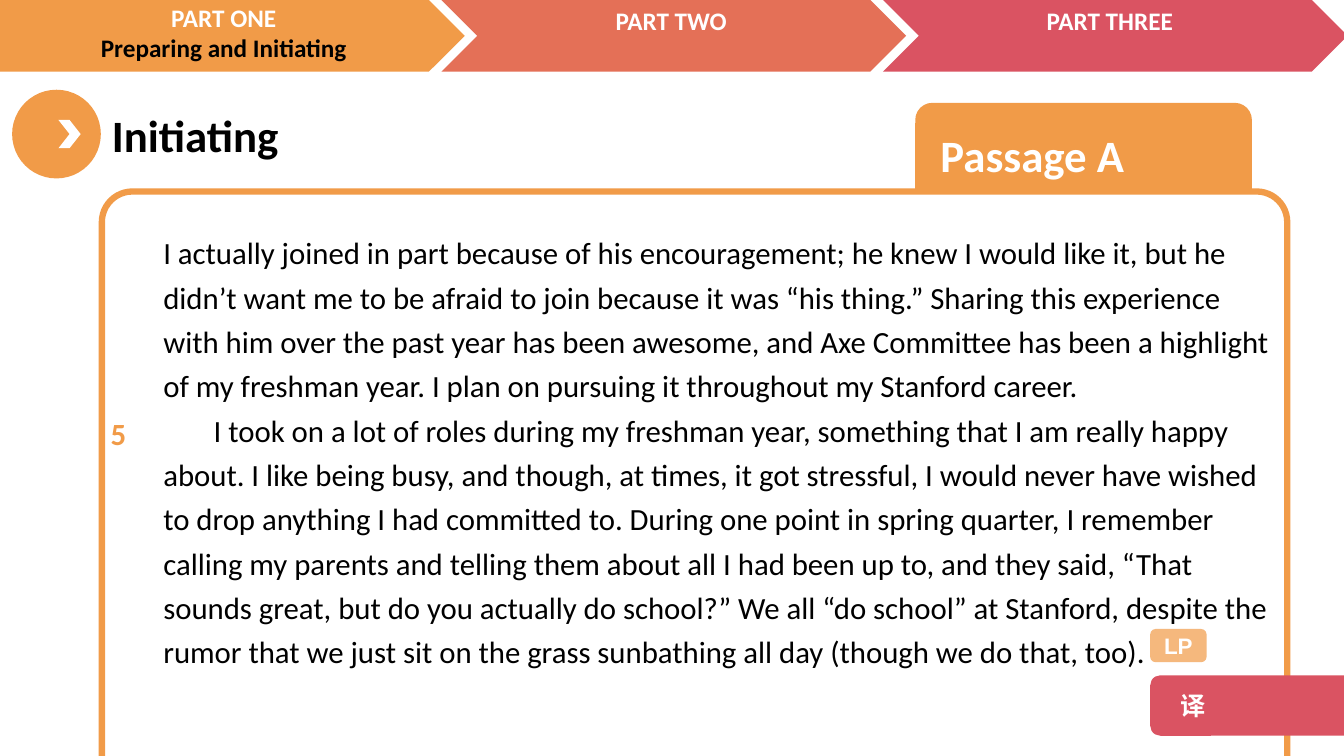
from lxml.etree import SubElement
from pptx import Presentation
from pptx.dml.color import RGBColor
from pptx.enum.shapes import MSO_SHAPE
from pptx.enum.text import MSO_ANCHOR, MSO_AUTO_SIZE, PP_ALIGN
from pptx.oxml.ns import qn
from pptx.util import Inches, Pt

ORANGE = RGBColor(0xF1, 0x9B, 0x48)
CORAL = RGBColor(0xE4, 0x70, 0x57)
CRIMSON = RGBColor(0xDA, 0x53, 0x62)
WHITE = RGBColor(0xFF, 0xFF, 0xFF)
BLACK = RGBColor(0, 0, 0)

# Widths and heights of elements are percentages of the slide's size.
PART_PITCH, PART_WIDTH, PART_HEIGHT = 32.85, 34.58, 9.47
FIRST_PART_LEAD = 4.58
PARTS = [
    (ORANGE, (-0.45, -0.4), [("PART ONE", WHITE), ("Preparing and Initiating", BLACK)]),
    (CORAL, (32.85, 0), [("PART TWO", WHITE)]),
    (CRIMSON, (65.48, 0), [("PART THREE", WHITE)]),
]
PASSAGE = [
    "I actually joined in part because of his encouragement; he knew I would like it, "
    "but he didn’t want me to be afraid to join because it was “his thing.” Sharing this "
    "experience with him over the past year has been awesome, and Axe Committee has been "
    "a highlight of my freshman year. I plan on pursuing it throughout my Stanford career.",
    "I took on a lot of roles during my freshman year, something that I am really happy "
    "about. I like being busy, and though, at times, it got stressful, I would never have "
    "wished to drop anything I had committed to. During one point in spring quarter, I "
    "remember calling my parents and telling them about all I had been up to, and they "
    "said, “That sounds great, but do you actually do school?” We all “do school” at "
    "Stanford, despite the rumor that we just sit on the grass sunbathing all day (though "
    "we do that, too).",
]


class PassageSlide:
    def __init__(self, deck):
        self.deck = deck
        self.slide = deck.slides.add_slide(deck.slide_layouts[1])

    def box(self, left, top, width, height):
        """Turn percentages of the slide into lengths."""
        across, down = self.deck.slide_width / 100, self.deck.slide_height / 100
        return [round(n) for n in (left * across, top * down, width * across, height * down)]

    def set_text(self, shape, lines, size, font="Calibri", bold=True, align=PP_ALIGN.LEFT,
                 anchor=MSO_ANCHOR.TOP, inset=0.1, top_inset=0.05, spacing=1.0, indents=()):
        """Fill a shape with (text, colour) paragraphs; indents are first-line inches."""
        frame = shape.text_frame
        frame.word_wrap = True
        frame.auto_size = MSO_AUTO_SIZE.NONE
        frame.vertical_anchor = anchor
        frame.margin_left, frame.margin_right = Inches(inset), Inches(min(inset, 0.1))
        frame.margin_top = frame.margin_bottom = Inches(top_inset)
        frame.text = "\n".join(text for text, _ in lines)
        for number, (paragraph, (_, color)) in enumerate(zip(frame.paragraphs, lines)):
            paragraph.alignment = align
            paragraph.line_spacing = spacing
            paragraph.space_before = Pt(0)
            if indents:
                properties = paragraph._p.get_or_add_pPr()
                properties.set("marL", "0")
                properties.set("indent", str(Inches(indents[number])))
                SubElement(properties, qn("a:buNone"))
            paragraph.font.size = Pt(size)
            paragraph.font.bold = bold
            paragraph.font.name = font
            paragraph.font.color.rgb = color

    def shape(self, kind, place, fill, outline=None, alpha=None):
        shape = self.slide.shapes.add_shape(kind, *self.box(*place))
        shape.shadow.inherit = False
        shape.fill.solid()
        shape.fill.fore_color.rgb = fill
        if alpha is not None:
            color = shape._element.spPr.find(qn("a:solidFill")).find(qn("a:srgbClr"))
            SubElement(color, qn("a:alpha"), val=str(alpha * 1000))
        if outline is None:
            shape.line.fill.background()
        else:
            shape.line.color.rgb = outline
            shape.line.width = Pt(4.5)
        return shape

    def text(self, place, lines, size, **style):
        self.set_text(self.slide.shapes.add_textbox(*self.box(*place)), lines, size, **style)

    def placeholder(self, index, place, lines, size, **style):
        """Fill a template placeholder and bring it to the front."""
        holder = self.slide.placeholders[index]
        holder.left, holder.top, holder.width, holder.height = self.box(*place)
        self.set_text(holder, lines, size, **style)
        self.slide.shapes._spTree.append(holder._element)


def main():
    deck = Presentation()
    deck.slide_width, deck.slide_height = Inches(13.33), Inches(7.5)
    page = PassageSlide(deck)

    for number, (color, (left, top), label) in enumerate(PARTS):
        lead = 0 if number else FIRST_PART_LEAD
        page.shape(MSO_SHAPE.CHEVRON, (number * PART_PITCH - lead, 0,
                                       PART_WIDTH + lead, PART_HEIGHT), color)
        page.text((left, top, 34.2, PART_HEIGHT), label, 18, align=PP_ALIGN.CENTER)

    page.shape(MSO_SHAPE.OVAL, (0.9, 11.87, 6.6, 11.73), ORANGE)
    page.shape(MSO_SHAPE.CHEVRON, (4.35, 15.87, 1.65, 3.73), WHITE)
    page.placeholder(0, (7.58, 13.6, 36.38, 8.53), [("Initiating", BLACK)], 32)

    passage_tab = page.shape(MSO_SHAPE.ROUNDED_RECTANGLE, (68.1, 13.6, 25.05, 13.6), ORANGE)
    page.set_text(passage_tab, [("Passage A", WHITE)], 32, anchor=MSO_ANCHOR.MIDDLE, inset=0.2)
    passage_frame = page.shape(MSO_SHAPE.ROUNDED_RECTANGLE, (7.58, 25.33, 88.2, 86),
                               WHITE, outline=ORANGE)
    passage_frame.adjustments[0] = 0.047

    page.placeholder(1, (11.4, 30, 84.38, 70), [(text, BLACK) for text in PASSAGE], 22,
                     bold=False, top_inset=0, spacing=1.2, indents=(0, 0.5))
    page.text((7.5, 53.87, 3.83, 6), [("5", ORANGE)], 22, top_inset=0, spacing=1.2)

    translation = page.shape(MSO_SHAPE.ROUNDED_RECTANGLE, (85.58, 89.33, 15.98, 8), CRIMSON)
    page.set_text(translation, [("译", WHITE)], 18, font="Noto Sans CJK SC",
                  anchor=MSO_ANCHOR.MIDDLE, inset=0.27)
    language_point = page.shape(MSO_SHAPE.ROUNDED_RECTANGLE, (85.58, 83.2, 4.2, 4.4),
                                ORANGE, alpha=71)
    page.set_text(language_point, [("LP", WHITE)], 16, font="Arial", align=PP_ALIGN.CENTER,
                  anchor=MSO_ANCHOR.MIDDLE, inset=0, top_inset=0)

    deck.save("out.pptx")


if __name__ == "__main__":
    main()
